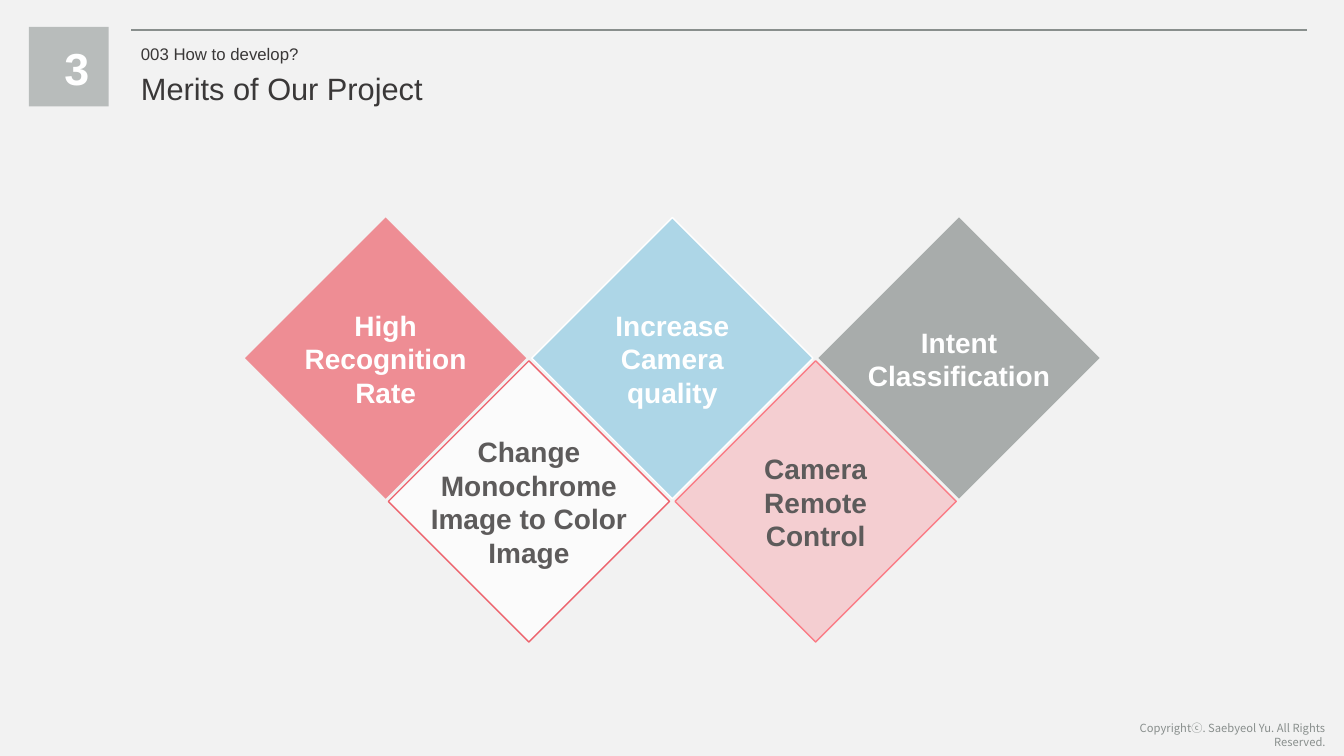
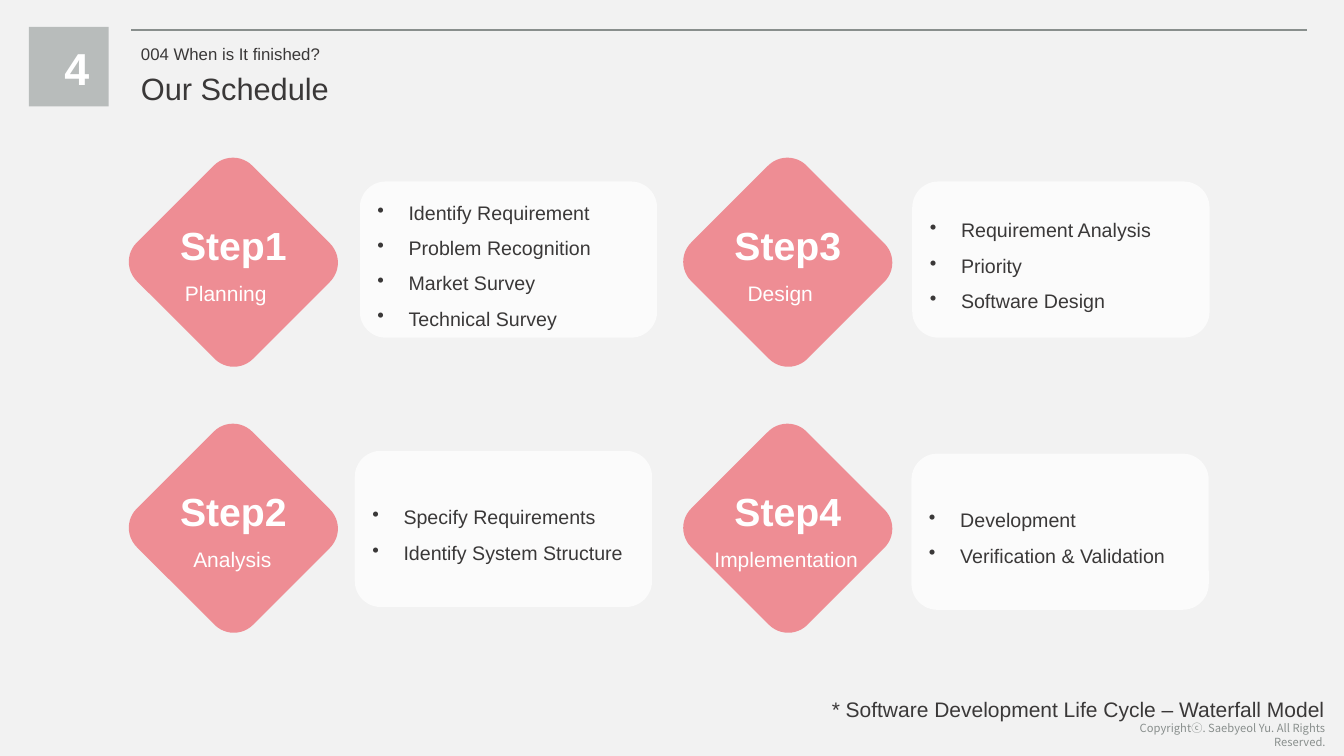
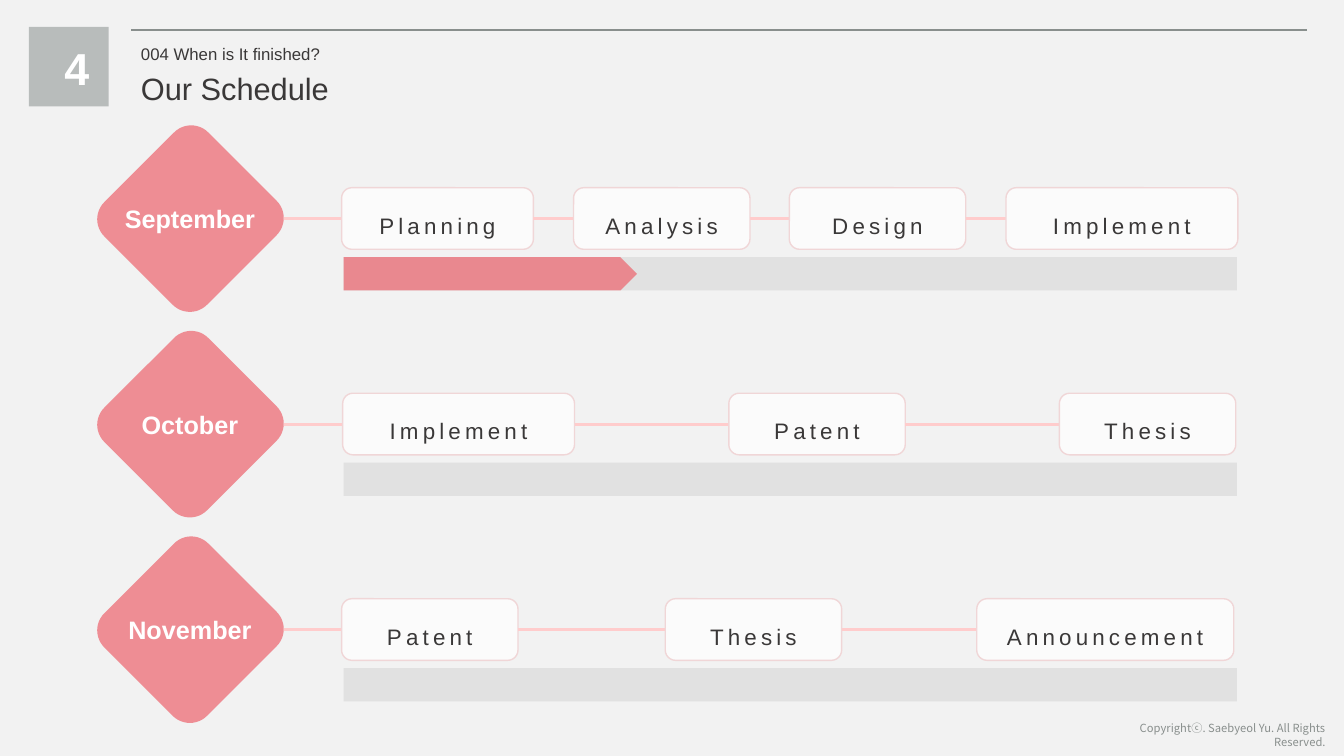
from pptx import Presentation
from pptx.dml.color import RGBColor
from pptx.enum.shapes import MSO_CONNECTOR, MSO_SHAPE
from pptx.enum.text import PP_ALIGN
from pptx.oxml.ns import qn
from pptx.oxml.xmlchemy import OxmlElement
from pptx.util import Pt

BACKGROUND = RGBColor(0xF2, 0xF2, 0xF2)
WHITE = RGBColor(0xFF, 0xFF, 0xFF)
INK = RGBColor(0x3A, 0x38, 0x38)
DARK_GRAY = RGBColor(0x5D, 0x5B, 0x5B)
GRAY = RGBColor(0x89, 0x8F, 0x8D)
BADGE_GRAY = RGBColor(0xB8, 0xBC, 0xBB)
TRACK_GRAY = RGBColor(0xDA, 0xDA, 0xDA)
RED = RGBColor(0xED, 0x63, 0x6D)
PINK = RGBColor(0xFA, 0x7D, 0x87)
BLUE = RGBColor(0x10, 0x97, 0xD0)
CARD_EDGE = RGBColor(0xF0, 0xD6, 0xD7)
LINK_PINK = RGBColor(0xFF, 0xCC, 0xCC)

FONT = "Arial"
FOOTER_FONT = "Noto Sans CJK KR"

RECT = MSO_SHAPE.RECTANGLE
ROUNDED = MSO_SHAPE.ROUNDED_RECTANGLE
DIAMOND = MSO_SHAPE.DIAMOND
PENTAGON = MSO_SHAPE.PENTAGON
STRAIGHT = MSO_CONNECTOR.STRAIGHT
LEFT, CENTER, RIGHT = PP_ALIGN.LEFT, PP_ALIGN.CENTER, PP_ALIGN.RIGHT

# label, label width, fill, opacity, outline, text colour
MERITS = [
    ("High\nRecognition\nRate", 131, RED, 70, None, WHITE),
    ("Change\nMonochrome\nImage to Color\nImage", 155, WHITE, 70, RED, DARK_GRAY),
    ("Increase\nCamera\nquality", 97, BLUE, 30, WHITE, WHITE),
    ("Camera\nRemote\nControl", 89, PINK, 30, PINK, DARK_GRAY),
    ("Intent\nClassification", 145, GRAY, 70, None, WHITE),
]

# phase, phase left and width, card left and top, tasks
STEPS = [
    ("Planning", 124.5, 73.5, 257, 129.6,
     ["Identify Requirement", "Problem Recognition", "Market Survey", "Technical Survey"]),
    ("Analysis", 130.3, 71.3, 253.4, 322,
     ["Specify Requirements", "Identify System Structure"]),
    ("Design", 526.3, 62, 651.6, 129.6,
     ["Requirement Analysis", "Priority", "Software Design"]),
    ("Implementation", 502.6, 118, 651, 324,
     ["Development", "Verification & Validation"]),
]

# month, stages as (name, left, width)
MONTHS = [
    ("September", [("Planning", 244, 137), ("Analysis", 409.7, 126),
                   ("Design", 563.8, 126), ("Implement", 718.6, 165.6)]),
    ("October", [("Implement", 244.8, 165.6), ("Patent", 520.6, 126),
                 ("Thesis", 756.7, 126)]),
    ("November", [("Patent", 244, 126), ("Thesis", 475.2, 126),
                  ("Announcement", 697.7, 183.6)]),
]


def write_text(frame, *paragraphs, size, color=INK, bold=False, font=FONT,
               align=LEFT, line_spacing=None, tracking=None, bullet=False, wrap=True):
    """Fill a text frame; a newline inside a paragraph is a line break."""
    frame.word_wrap = wrap
    for index, text in enumerate(paragraphs):
        paragraph = frame.add_paragraph() if index else frame.paragraphs[0]
        paragraph.text = text
        if bullet:
            add_bullet(paragraph)
        paragraph.alignment = align
        paragraph.line_spacing = line_spacing
        for run in paragraph.runs:
            run.font.name = font
            run.font.size = Pt(size)
            run.font.bold = bold
            run.font.color.rgb = color
            if tracking:
                run.font._element.set("spc", str(tracking * 100))


def add_bullet(paragraph, indent=22.3):
    properties = paragraph._p.get_or_add_pPr()
    properties.set("marL", str(Pt(indent)))
    properties.set("indent", str(-Pt(indent)))
    mark = OxmlElement("a:buChar")
    mark.set("char", "•")
    properties.append(mark)


def add_label(slide, text, left, top, width, height, **text_format):
    box = slide.shapes.add_textbox(Pt(left), Pt(top), Pt(width), Pt(height))
    write_text(box.text_frame, text, **text_format)


def add_block(slide, kind, left, top, width, height, fill, opacity=100,
              outline=None, rotation=0):
    block = slide.shapes.add_shape(kind, Pt(left), Pt(top), Pt(width), Pt(height))
    block.shadow.inherit = False
    block.rotation = rotation
    block.fill.solid()
    block.fill.fore_color.rgb = fill
    if opacity < 100:
        alpha = OxmlElement("a:alpha")
        alpha.set("val", str(opacity * 1000))
        block.element.spPr.find(qn("a:solidFill")).find(qn("a:srgbClr")).append(alpha)
    if outline is None:
        block.line.fill.background()
    else:
        block.line.color.rgb = outline
        block.line.width = Pt(1)
    return block


def add_horizontal_line(slide, start, end, y, color, width):
    line = slide.shapes.add_connector(STRAIGHT, Pt(start), Pt(y), Pt(end), Pt(y))
    line.line.color.rgb = color
    line.line.width = Pt(width)
    line.element.spPr.append(OxmlElement("a:effectLst"))


def add_content_slide(deck, number, section, section_width, title, title_width):
    """Add a slide with the shared background, header and footer."""
    slide = deck.slides.add_slide(deck.slide_layouts[6])
    slide.background.fill.solid()
    slide.background.fill.fore_color.rgb = BACKGROUND
    add_label(slide, "Copyrightⓒ. Saebyeol Yu. All Rights Reserved.", 777.6, 512, 176.4, 17,
              size=8, color=GRAY, font=FOOTER_FONT, align=RIGHT)
    add_horizontal_line(slide, 93.6, 933.8, 21.4, GRAY, 1.5)
    add_block(slide, RECT, 20.7, 19.2, 57, 56.8, BADGE_GRAY)
    add_label(slide, number, 38.9, 25.2, 20.2, 46,
              size=32, color=WHITE, bold=True, align=CENTER)
    add_label(slide, section, 93.6, 27.4, section_width, 21.6, size=12, wrap=False)
    add_label(slide, title, 93.6, 46, title_width, 34, size=22, wrap=False)
    return slide


def add_merits(slide):
    side, step = 200.9, 102.4
    for index, (label, width, fill, opacity, outline, color) in enumerate(MERITS):
        left = 175 + step * index
        top = 155.3 + step * (index % 2)
        add_block(slide, DIAMOND, left, top, side, side, fill, opacity, outline)
        height = 24.3 * len(label.split("\n")) + 7.2
        add_label(slide, label, left + (side - width) / 2, top + (side - height) / 2 + 1,
                  width, height, size=20, color=color, bold=True, align=CENTER, wrap=False)


def add_steps(slide):
    for index, (phase, phase_left, phase_width, card_left, card_top, tasks) in enumerate(STEPS):
        column, row = divmod(index, 2)
        left, top = 108 + 396 * column, 129 + 190 * row
        add_block(slide, ROUNDED, left, top, 117.4, 116.6, RED, 70, rotation=45)
        add_label(slide, f"Step{index + 1}", left + 2.9, top + 25.8, 111.6, 41,
                  size=28, color=WHITE, bold=True, align=CENTER)
        add_label(slide, phase, phase_left, top + 67.8, phase_width, 25.2,
                  size=15, color=WHITE, align=CENTER, wrap=False)
        card = add_block(slide, ROUNDED, card_left, card_top, 212.4, 111.6, WHITE, 70)
        write_text(card.text_frame, *tasks, size=14, line_spacing=1.5, bullet=True)
    add_label(slide, "* Software Development Life Cycle – Waterfall Model", 557.3, 485.3, 396, 31,
              size=15, align=RIGHT, line_spacing=1.5)


def add_months(slide):
    track_left, track_offset, track_height = 245.5, 80, 23.8
    first_top, row_step = 103.7, 146.8
    for row, (month, stages) in enumerate(MONTHS):
        top = first_top + row_step * row
        add_block(slide, ROUNDED, 84.2, top, 103.7, 105, RED, 70, rotation=45)
        add_label(slide, month, 68.4, top + 38.2, 134.6, 28.8,
                  size=18, color=WHITE, bold=True, align=CENTER)
        link_start = 203
        for stage, left, width in stages:
            add_horizontal_line(slide, link_start, left, top + 52.6, LINK_PINK, 2.25)
            card = add_block(slide, ROUNDED, left, top + 30.4, width, 44, WHITE, 70, CARD_EDGE)
            write_text(card.text_frame, stage, size=16, align=CENTER,
                       line_spacing=1.5, tracking=3)
            link_start = left + width
        add_block(slide, RECT, track_left, top + track_offset, 638, track_height,
                  TRACK_GRAY, 70)
    add_block(slide, PENTAGON, track_left, first_top + track_offset, 209.5, track_height,
              RED, 70)


def main():
    deck = Presentation()
    deck.slide_width, deck.slide_height = Pt(960), Pt(540)
    add_merits(add_content_slide(deck, "3", "003 How to develop?", 128,
                                 "Merits of Our Project", 218))
    for add_schedule in (add_steps, add_months):
        add_schedule(add_content_slide(deck, "4", "004 When is It finished?", 143,
                                       "Our Schedule", 150))
    deck.save("out.pptx")


if __name__ == "__main__":
    main()
